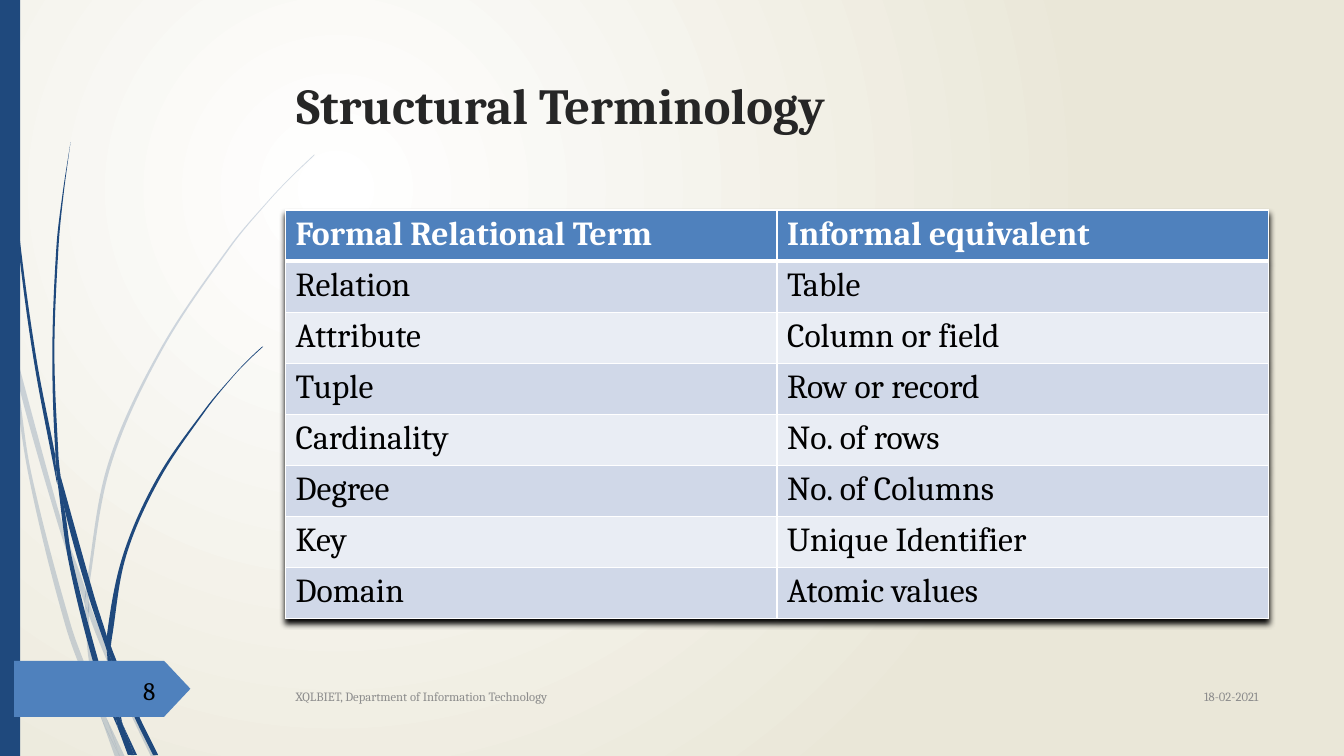
from math import hypot

from lxml.etree import SubElement
from pptx import Presentation
from pptx.dml.color import RGBColor
from pptx.enum.shapes import MSO_SHAPE as SHAPE
from pptx.enum.text import MSO_ANCHOR as ANCHOR, MSO_AUTO_SIZE as AUTO, PP_ALIGN as ALIGN
from pptx.oxml import parse_xml
from pptx.oxml.ns import nsdecls, qn
from pptx.util import Pt

FONT = "Cambria"
NAVY, BLUE, WHITE, BLACK = "1F497D", "4F81BD", "FFFFFF", "000000"
GREY = "8C8C8C"
BANDS = ("E9EDF4", "D0D8E8")

FAINT_BLADES = [
    [(7.9, 252), (6.5, 231.8), (0, 203), (0, 215.3), (7.2, 247.7)],
    [(41.8, 375.8), (60.5, 431.3), (61.2, 421.9), (44.6, 374.4), (10.1, 248.4),
     (12.2, 270.7)],
    [(66.2, 437), (63.4, 429.1), (63.4, 439.2), (88.6, 499.7), (108, 540.7),
     (111.6, 540.7), (91.4, 498.2)],
    [(85.7, 540.7), (89.3, 540.7), (75.6, 511.9)],
    [(67, 491.8), (50.4, 445.7), (22.3, 337.7), (12.2, 270.7), (7.9, 252),
     (20.2, 338.4), (46.8, 447.1), (66.2, 499), (72.7, 514.1), (71.3, 509)],
    [(60.5, 431.3), (62.6, 465.1), (67, 491.8), (69.1, 498.2), (75.6, 511.9),
     (74.2, 508.3), (65.5, 465.1), (63.4, 439.2), (63.4, 437.8)],
    [(63.4, 420.5), (79.2, 332.6), (115.2, 251.3), (164.9, 176.4), (193, 142.6),
     (208.8, 126), (224.6, 110.9), (224.6, 110.2), (208.1, 126), (193, 141.8),
     (164.2, 175.7), (113.8, 250.6), (77, 331.9), (61.2, 420.5), (61.2, 421.9),
     (63.4, 429.1)],
    [(72.7, 514.1), (82.1, 540.7), (85.7, 540.7)],
    [(63.4, 437.8), (63.4, 439.2), (63.4, 429.1), (61.2, 421.9), (60.5, 431.3)],
    [(69.1, 498.2), (67, 491.8), (71.3, 509), (72.7, 514.1), (85.7, 540.7),
     (75.6, 511.9)],
]
DARK_BLADES = [
    [(5, 79.2), (12.2, 167.8), (23.8, 255.6), (40.3, 343.4), (41, 346.3),
     (39.6, 329), (39.6, 326.2), (25.9, 255.6), (13.7, 167), (5.8, 78.5),
     (3.6, 34.6), (2.9, 0), (2.2, 0), (2.9, 34.6)],
    [(63.4, 426.2), (76.3, 464.4), (76.3, 455.8), (76.3, 454.3), (67, 424.8),
     (43.2, 339.8), (46.1, 363.6)],
    [(81.4, 467.3), (79.2, 461.5), (79.9, 472.3), (95, 509.8), (109.4, 539.3),
     (113, 539.3), (97.9, 508.3)],
    [(79.2, 497.5), (70.6, 473), (51.8, 400.3), (46.1, 363.6), (41, 343.4),
     (49, 401), (67, 474.5), (79.9, 509.8), (84.2, 519.8), (83.5, 516.2)],
    [(43.2, 339.8), (41.8, 326.2), (38.9, 251.3), (41.8, 176.4), (45.4, 139),
     (50.4, 101.5), (44.6, 139), (40.3, 176.4), (37.4, 251.3), (39.6, 323.3)],
    [(95.8, 539.3), (97.9, 539.3), (87.8, 517.7)],
    [(41, 343.4), (46.1, 363.6), (43.2, 339.8), (39.6, 323.3), (39.6, 326.2)],
    [(79.9, 455.8), (90, 397.4), (113.8, 342.7), (147.6, 292.3), (166.3, 269.3),
     (176.4, 258.5), (187.9, 247.7), (187.2, 247.7), (176.4, 257.8),
     (166.3, 268.6), (146.9, 291.6), (112.3, 341.3), (87.8, 396.7),
     (76.3, 454.3), (79.2, 461.5)],
    [(84.2, 519.8), (91.4, 539.3), (94.3, 539.3)],
    [(76.3, 464.4), (79.2, 497.5), (83.5, 508.3), (87.8, 517.7), (87.1, 515.5),
     (79.9, 472.3), (78.5, 468.7)],
    [(76.3, 464.4), (78.5, 468.7), (79.9, 472.3), (79.2, 461.5), (76.3, 454.3),
     (76.3, 455.8)],
    [(83.5, 508.3), (79.2, 497.5), (83.5, 516.2), (84.2, 519.8), (93.6, 539.3),
     (95.8, 539.3), (87.8, 517.7)],
]
TERMS = [
    ("Formal Relational Term", "Informal equivalent"),
    ("Relation", "Table"),
    ("Attribute", "Column or field"),
    ("Tuple", "Row or record"),
    ("Cardinality", "No. of rows"),
    ("Degree", "No. of Columns"),
    ("Key", "Unique Identifier"),
    ("Domain", "Atomic values"),
]


def rgb(value):
    return RGBColor.from_string(value)


def box(x, y, w, h):
    return Pt(x), Pt(y), Pt(w), Pt(h)


def add_run(p, text, size, color, bold=False):
    r = p.add_run()
    r.text = text
    r.font.name, r.font.size, r.font.bold = FONT, Pt(size), bold
    r.font.color.rgb = rgb(color)


def paint(sp, color, alpha=None):
    sp.shadow.inherit = False
    sp.fill.solid()
    sp.fill.fore_color.rgb = rgb(color)
    sp.line.fill.background()
    if alpha:
        clr = sp._element.spPr.find(".//" + qn("a:srgbClr"))
        SubElement(clr, qn("a:alpha"), val=str(alpha * 1000))


def set_background(s):
    fill = s.background.fill
    fill.gradient()
    for stop, position, color in zip(fill.gradient_stops, (0, 1), (WHITE, "EAE7D8")):
        stop.position = position
        stop.color.rgb = rgb(color)
    lin = s._element.find(".//" + qn("a:lin"))
    lin.getparent().replace(lin, parse_xml(
        f'<a:path {nsdecls("a")} path="circle">'
        '<a:fillToRect l="50000" t="50000" r="100000" b="100000"/></a:path>'))


def unit(a, b):
    length = hypot(b[0] - a[0], b[1] - a[1])
    return (b[0] - a[0]) / length, (b[1] - a[1]) / length


def heading(before, here, after, fallback):
    """Return the curve direction at a point, or the fallback at a corner."""
    u, v = unit(before, here), unit(here, after)
    return unit(before, after) if u[0] * v[0] + u[1] * v[1] > 0.5 else fallback


def bend_sides(sp):
    lines = list(sp._element.iter(qn("a:lnTo")))
    points = [(int(ln[0].get("x")), int(ln[0].get("y"))) for ln in lines]
    n = len(points)
    for i, ln in enumerate(lines):
        a0, a, b, b1 = (points[(i + k) % n] for k in (-2, -1, 0, 1))
        side = unit(a, b)
        reach = hypot(b[0] - a[0], b[1] - a[1]) / 3
        leave, arrive = heading(a0, a, b, side), heading(a, b, b1, side)
        ln.tag = qn("a:cubicBezTo")
        for k, (base, sign, way) in enumerate(((a, 1, leave), (b, -1, arrive))):
            x, y = (round(c + sign * reach * w) for c, w in zip(base, way))
            ln.insert(k, parse_xml(f'<a:pt {nsdecls("a")} x="{x}" y="{y}"/>'))


def add_blade(s, points, color, alpha=None):
    outline = [(Pt(x), Pt(y)) for x, y in points]
    builder = s.shapes.build_freeform(*outline[0])
    builder.add_line_segments(outline[1:] + outline[:1])
    sp = builder.convert_to_shape()
    bend_sides(sp)
    paint(sp, color, alpha)


def add_block(s, kind, place, color):
    sp = s.shapes.add_shape(kind, *box(*place))
    paint(sp, color)
    return sp


def set_title(s, text):
    sp = s.shapes.title
    sp.left, sp.top, sp.width, sp.height = box(204.5, 49, 702, 101)
    tf = sp.text_frame
    tf.vertical_anchor, tf.auto_size, tf.word_wrap = ANCHOR.TOP, AUTO.NONE, True
    p = tf.paragraphs[0]
    p.alignment = ALIGN.LEFT
    add_run(p, text, 36, "262626", True)


def add_label(s, place, text, size, color, align):
    tf = s.shapes.add_textbox(*box(*place)).text_frame
    tf.word_wrap, tf.vertical_anchor = True, ANCHOR.MIDDLE
    p = tf.paragraphs[0]
    p.alignment = align
    add_run(p, text, size, color)


def set_borders(cell, widths):
    tc_pr = cell._tc.get_or_add_tcPr()
    for side, width in zip("LRTB", widths):
        ln = SubElement(tc_pr, qn(f"a:ln{side}"), w=str(Pt(width)))
        SubElement(SubElement(ln, qn("a:solidFill")), qn("a:srgbClr"), val=WHITE)


def add_terms(s, rows):
    table = s.shapes.add_table(len(rows), 2, *box(204, 150, 702, 36.5 * len(rows))).table
    table._tbl.tblPr.insert(0, parse_xml(
        f'<a:effectLst {nsdecls("a")}><a:outerShdw blurRad="50800" dist="38100" '
        'dir="5400000"><a:srgbClr val="000000"/></a:outerShdw></a:effectLst>'))
    for i, row in enumerate(rows):
        header = i == 0
        for j, text in enumerate(row):
            cell = table.cell(i, j)
            set_borders(cell, (1, 1, 3 if i == 1 else 1, 3 if header else 1))
            cell.fill.solid()
            cell.fill.fore_color.rgb = rgb(BLUE if header else BANDS[i % 2])
            add_run(cell.text_frame.paragraphs[0], text, 24,
                    WHITE if header else BLACK, header)


def main():
    prs = Presentation()
    prs.slide_width, prs.slide_height = Pt(960), Pt(540)
    s = prs.slides.add_slide(prs.slide_layouts[5])
    set_background(s)
    for blade in FAINT_BLADES:
        add_blade(s, blade, NAVY, 20)
    for blade in DARK_BLADES:
        add_blade(s, blade, NAVY)
    add_block(s, SHAPE.RECTANGLE, (0, 0, 14.4, 540), NAVY)
    tag = add_block(s, SHAPE.PENTAGON, (10, 472, 126, 40), BLUE)
    tag.adjustments[0] = 0.47
    set_title(s, "Structural Terminology")
    add_label(s, (816, 482.5, 90, 29.5), "18-02-2021", 9, GREY, ALIGN.RIGHT)
    add_label(s, (204, 483, 600, 29), "XQLBIET, Department of Information Technology",
              9, GREY, ALIGN.LEFT)
    add_label(s, (23, 482.5, 95, 21.5), "8", 18, BLACK, ALIGN.RIGHT)
    add_terms(s, TERMS)
    prs.save("out.pptx")


if __name__ == "__main__":
    main()
